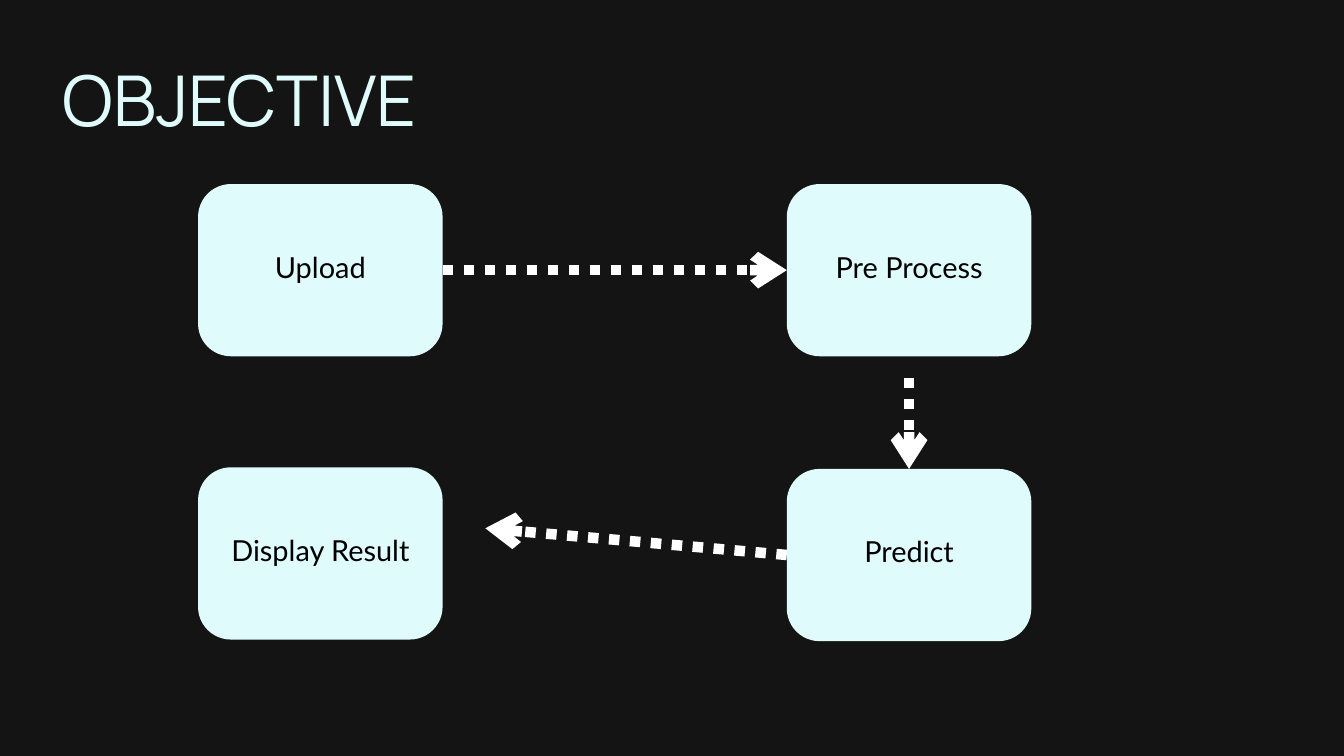
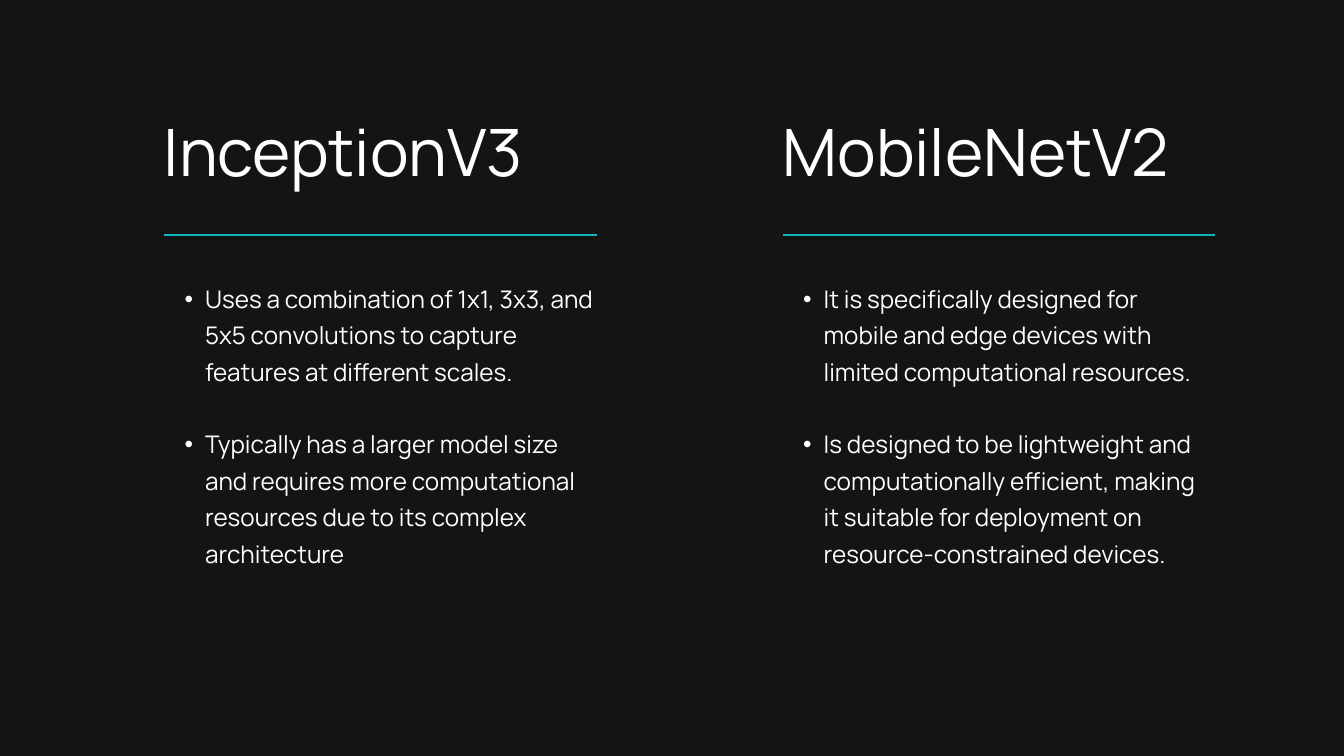
from lxml import etree
from pptx import Presentation
from pptx.dml.color import RGBColor
from pptx.enum.dml import MSO_LINE
from pptx.enum.shapes import MSO_CONNECTOR, MSO_SHAPE
from pptx.enum.text import MSO_ANCHOR, MSO_AUTO_SIZE, PP_ALIGN
from pptx.oxml.ns import qn
from pptx.util import Pt

STRAIGHT = MSO_CONNECTOR.STRAIGHT
ROUNDED = MSO_SHAPE.ROUNDED_RECTANGLE
DOTS = MSO_LINE.ROUND_DOT
LEFT, CENTER = PP_ALIGN.LEFT, PP_ALIGN.CENTER
TOP, MIDDLE = MSO_ANCHOR.TOP, MSO_ANCHOR.MIDDLE
NO_AUTOSIZE = MSO_AUTO_SIZE.NONE

DARK, ICE, TEAL, WHITE, BLACK = "141414", "E0FBFB", "10B5BF", "FFFFFF", "000000"
SITE_TOP, SITE_LEFT, SITE_RIGHT = 0, 1, 3


def write(shape, *texts, size, spacing, color=WHITE, font="Manrope", align=LEFT,
          anchor=TOP, insets=(0, 0, 0, 0), bullet=False, gap=0):
    tf = shape.text_frame
    tf.word_wrap = True
    tf.auto_size = NO_AUTOSIZE
    tf.vertical_anchor = anchor
    tf.margin_left, tf.margin_top, tf.margin_right, tf.margin_bottom = map(Pt, insets)
    for i, text in enumerate(texts):
        p = tf.add_paragraph() if i else tf.paragraphs[0]
        p.alignment = align
        p.line_spacing = Pt(spacing)
        p.space_before = Pt(gap if i else 0)
        if bullet:
            pPr = p._p.get_or_add_pPr()
            pPr.set("marL", str(Pt(44)))
            pPr.set("indent", str(-Pt(22)))
            etree.SubElement(pPr, qn("a:buFont"), typeface="Arial")
            etree.SubElement(pPr, qn("a:buChar"), char="•")
        r = p.add_run()
        r.text = text
        r.font.name = font
        r.font.size = Pt(size)
        r.font.color.rgb = RGBColor.from_string(color)


def add_line(s, x1, y1, x2, y2, color, width, arrow=False):
    line = s.shapes.add_connector(STRAIGHT, Pt(x1), Pt(y1), Pt(x2), Pt(y2))
    line.line.color.rgb = RGBColor.from_string(color)
    line.line.width = Pt(width)
    if arrow:
        line.line.dash_style = DOTS
        etree.SubElement(line.line._get_or_add_ln(), qn("a:tailEnd"), type="arrow")
    etree.SubElement(line._element.spPr, qn("a:effectLst"))
    return line


prs = Presentation()
prs.slide_width, prs.slide_height = Pt(1440), Pt(810)
fill = prs.slide_master.background.fill
fill.solid()
fill.fore_color.rgb = RGBColor.from_string(DARK)
title_only, blank = prs.slide_layouts[5], prs.slide_layouts[6]

s = prs.slides.add_slide(title_only)
title = s.shapes.title
title.left, title.top, title.width, title.height = Pt(67), Pt(60.5), Pt(512), Pt(90)
write(title, "OBJECTIVE", size=75, spacing=90, color=ICE)

box_w, box_h = 262, 184.5
steps = [
    ("Upload", 212.2, 197.2),
    ("Pre Process", 843, 197.2),
    ("Predict", 843, 502.4),
    ("Display Result", 212.2, 500.7),
]
boxes = {}
for name, x, y in steps:
    box = s.shapes.add_shape(ROUNDED, Pt(x), Pt(y), Pt(box_w), Pt(box_h))
    box.shadow.inherit = False
    box.adjustments[0] = 0.19
    box.fill.solid()
    box.fill.fore_color.rgb = RGBColor.from_string(ICE)
    box.line.fill.background()
    write(box, name, size=31, spacing=43.4, color=BLACK, font="Lato",
          align=CENTER, anchor=MIDDLE, insets=(4.5, 4.5, 4.5, 18.5))
    boxes[name] = box

arrows = [
    (474.2, 289.5, 843, 289.5, ("Upload", SITE_RIGHT), ("Pre Process", SITE_LEFT)),
    (843, 594.7, 520, 566, ("Predict", SITE_LEFT), None),
    (974, 404.6, 974, 502.4, None, ("Predict", SITE_TOP)),
]
for x1, y1, x2, y2, start, end in arrows:
    arrow = add_line(s, x1, y1, x2, y2, WHITE, 11.25, arrow=True)
    if start:
        arrow.begin_connect(boxes[start[0]], start[1])
    if end:
        arrow.end_connect(boxes[end[0]], end[1])

s = prs.slides.add_slide(blank)
col_w = 463.5
models = [
    (175.7, "InceptionV3", [
        "Uses a combination of 1x1, 3x3, and 5x5 convolutions to capture features "
        "at different scales.",
        "Typically has a larger model size and requires more computational resources "
        "due to its complex architecture",
    ]),
    (838.5, "MobileNetV2", [
        "It is specifically designed for mobile and edge devices with limited "
        "computational resources.",
        "Is designed to be lightweight and computationally efficient, making it "
        "suitable for deployment on resource-constrained devices.",
    ]),
]
for x, name, points in models:
    heading = s.shapes.add_textbox(Pt(x), Pt(119.5), Pt(col_w), Pt(84))
    write(heading, name, size=70, spacing=84)
    add_line(s, x, 252, x + col_w, 252, TEAL, 2)
    body = s.shapes.add_textbox(Pt(x), Pt(296.6), Pt(col_w), Pt(312))
    write(body, *points, size=26, spacing=39, bullet=True, gap=39)

prs.save("out.pptx")
